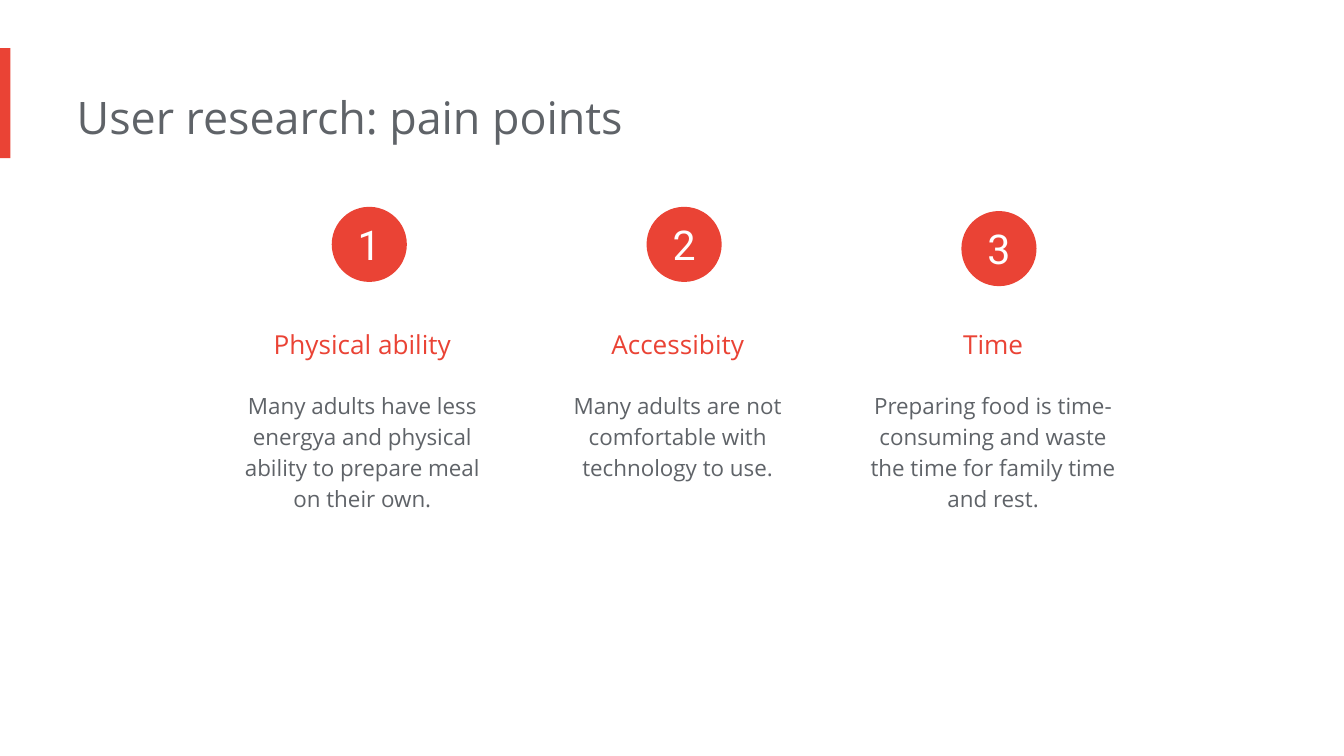
from pptx import Presentation
from pptx.dml.color import RGBColor
from pptx.enum.shapes import MSO_SHAPE
from pptx.enum.text import MSO_ANCHOR, PP_ALIGN
from pptx.util import Cm, Pt

RED = RGBColor(0xEA, 0x43, 0x35)
GRAY = RGBColor(0x5F, 0x63, 0x68)
WHITE = RGBColor(0xFF, 0xFF, 0xFF)

PAD = Cm(0.25)
BOX = {"margin_left": 0, "margin_top": PAD, "margin_right": PAD,
       "margin_bottom": PAD, "word_wrap": True,
       "vertical_anchor": MSO_ANCHOR.TOP}
DISC = {"margin_left": 0, "margin_top": 0, "margin_right": 0,
        "margin_bottom": 0, "word_wrap": True,
        "vertical_anchor": MSO_ANCHOR.MIDDLE}
MID = PP_ALIGN.CENTER
TITLE = {"alignment": PP_ALIGN.LEFT}
HEAD = {"alignment": MID, "line_spacing": 1.5}
BODY = {"alignment": MID, "line_spacing": 1.15}
DIGIT = {"alignment": MID}


def write(shape, text, frame, para, size, color, face="Open Sans"):
    box = shape.text_frame
    box.text = text
    line = box.paragraphs[0]
    font = line.runs[0].font
    look = {"size": Pt(size), "name": face}
    for item, style in ((box, frame), (line, para), (font, look)):
        for key, value in style.items():
            setattr(item, key, value)
    font.color.rgb = color


def draw(kind, left, top, width, height):
    shape = slide.shapes.add_shape(kind, Cm(left), Cm(top), Cm(width), Cm(height))
    shape.shadow.inherit = False
    shape.fill.solid()
    shape.fill.fore_color.rgb = RED
    shape.line.fill.background()
    return shape


deck = Presentation()
deck.slide_width = Cm(25.4)
deck.slide_height = Cm(14.29)
slide = deck.slides.add_slide(deck.slide_layouts[6])

draw(MSO_SHAPE.RECTANGLE, 0, 0.91, 0.2, 2.08)
title = slide.shapes.add_textbox(Cm(1.45), Cm(1.45), Cm(17.1), Cm(1.55))
write(title, "User research: pain points", BOX, TITLE, 24, GRAY)

points = [
    ("Physical ability", 3.91, 2.87,
     "Many adults have less energya and physical ability to prepare meal on their own."),
    ("Accessibity", 3.91, 2.29,
     "Many adults are not comfortable with technology to use."),
    ("Time", 3.99, 2.87,
     "Preparing food is time-consuming and waste the time for family time and rest."),
]
for i, (name, top, height, text) in enumerate(points):
    left = Cm(4.37 + 5.96 * i)
    head = slide.shapes.add_textbox(left, Cm(5.66), Cm(5.21), Cm(1.42))
    write(head, name, BOX, HEAD, 14, RED)
    body = slide.shapes.add_textbox(left, Cm(7.09), Cm(5.21), Cm(height))
    write(body, text, BOX, BODY, 12, GRAY)
    disc = draw(MSO_SHAPE.OVAL, 6.27 + 5.95 * i, top, 1.42, 1.42)
    write(disc, str(i + 1), DISC, DIGIT, 22, WHITE, "Roboto")

deck.save("out.pptx")
